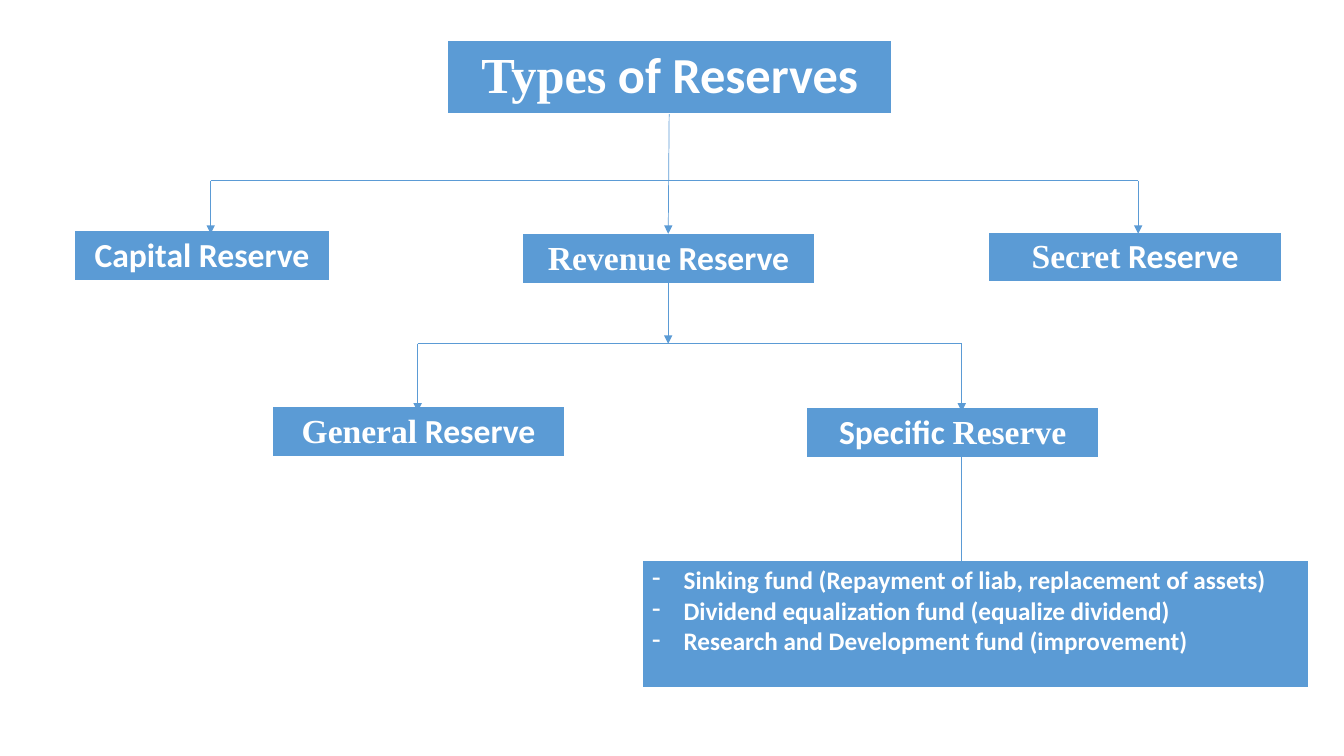
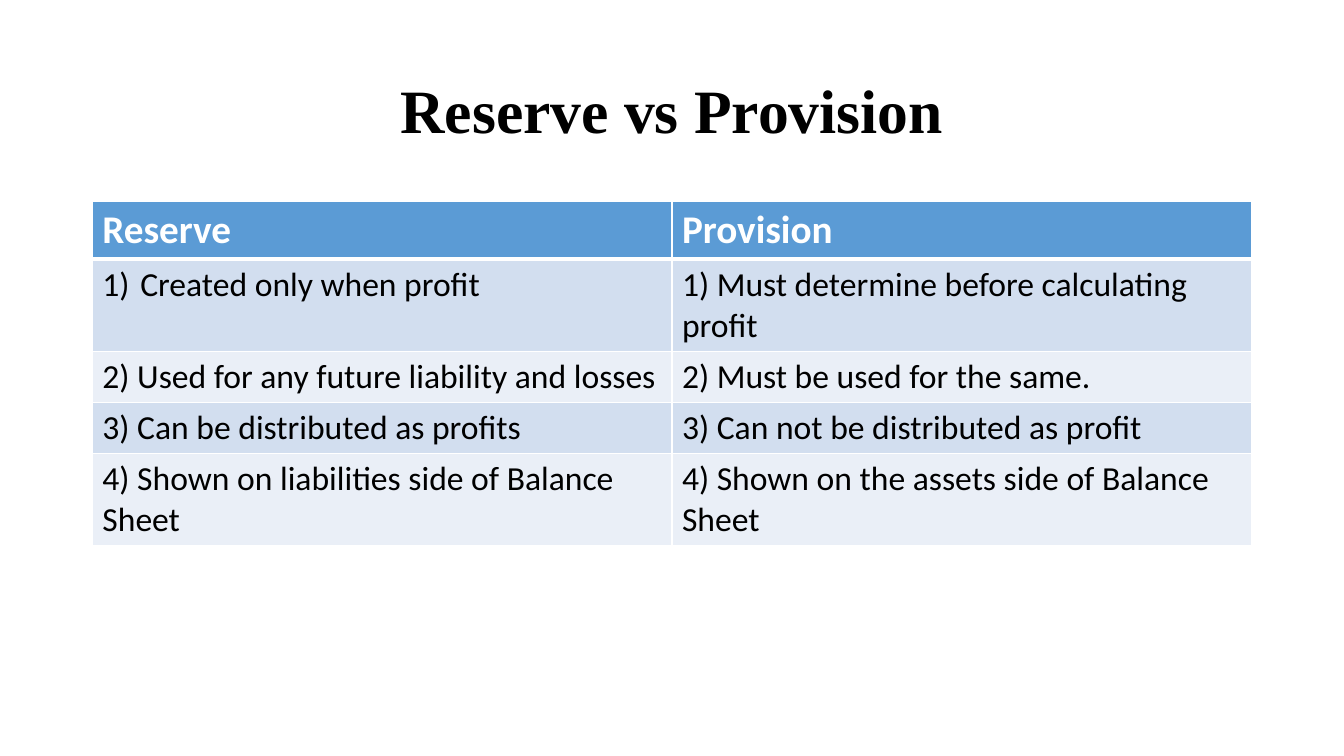
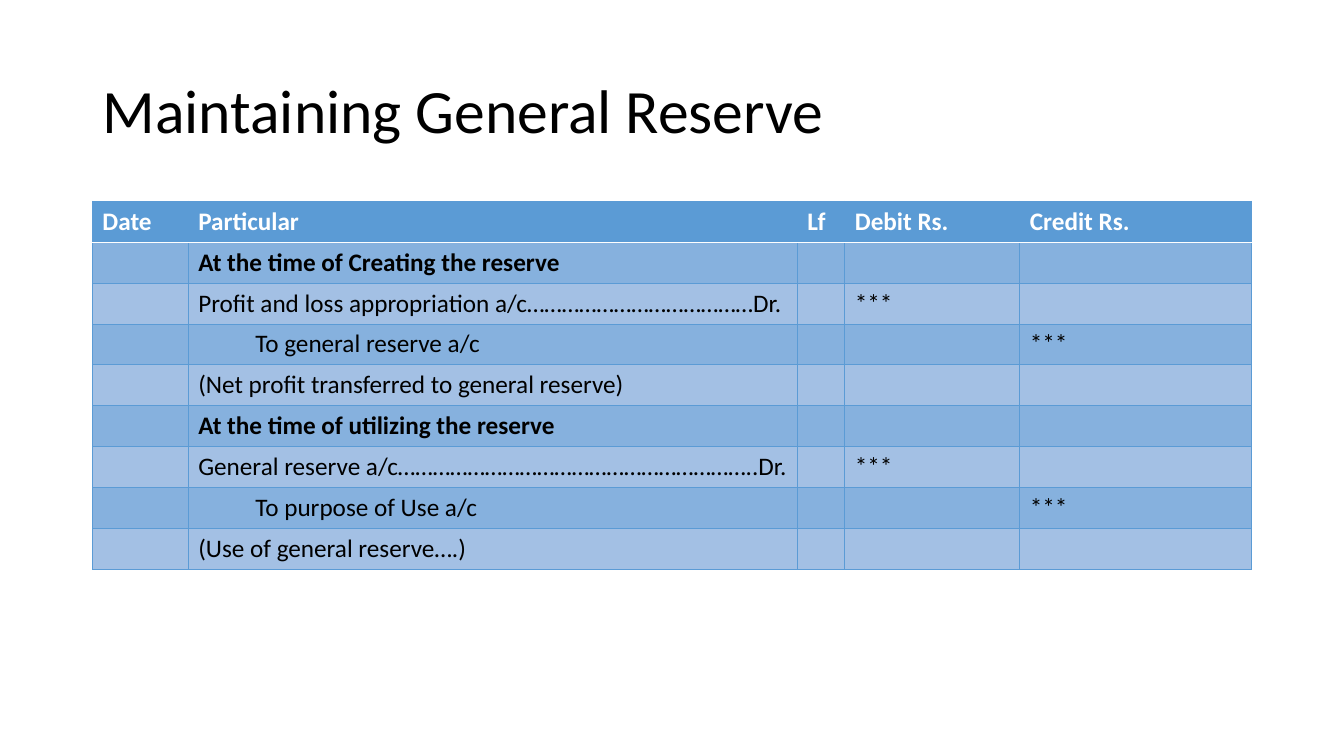
from lxml.etree import SubElement
from pptx import Presentation
from pptx.dml.color import RGBColor
from pptx.enum.shapes import MSO_CONNECTOR
from pptx.enum.text import MSO_ANCHOR, MSO_AUTO_SIZE, PP_ALIGN
from pptx.oxml.ns import qn
from pptx.util import Pt

BLUE = RGBColor(0x5B, 0x9B, 0xD5)
WHITE = RGBColor(0xFF, 0xFF, 0xFF)
BLACK = RGBColor(0x00, 0x00, 0x00)
COMPARISON_BANDS = RGBColor(0xD2, 0xDE, 0xEF), RGBColor(0xEA, 0xEF, 0xF7)
LEDGER_BANDS = RGBColor(0x86, 0xB1, 0xDE), RGBColor(0xA3, 0xC0, 0xE4)
SANS = "Calibri"
SERIF = "Times New Roman"
WHITE_GRID, WHITE_RULE = (WHITE, 1), (WHITE, 3)

TITLE_ONLY, BLANK = 5, 6
TITLE_AREA = (66, 28.75, 828, 104.4)
TABLE_LEFT, TABLE_TOP = 66, 143.75

# Slide 1: the runs (text, font), the size, and left, top, width, height of each box
BOXES = [
    ([("Types", SERIF), (" of Reserves", SANS)], 36, (319.7, 28.8, 317.5, 53.2)),
    ([("Capital Reserve", SANS)], 24, (53.3, 164.9, 182, 36)),
    ([("Revenue", SERIF), (" Reserve", SANS)], 24, (373, 167, 209, 36)),
    ([("Secret", SERIF), (" Reserve", SANS)], 24, (706.3, 165.7, 209, 36)),
    ([("General", SERIF), (" Reserve", SANS)], 24, (194.4, 290.2, 209, 36)),
    ([("Specific ", SANS), ("Reserve", SERIF)], 24, (576, 290.9, 209, 36)),
]
FUNDS = [
    "Sinking fund (Repayment of liab, replacement of assets)",
    "Dividend equalization fund (equalize dividend)",
    "Research and Development fund (improvement)",
]
FUNDS_AREA = (458.6, 400.3, 476, 91.4)

# Slide 2
COMPARISON = [
    ("Reserve", "Provision"),
    ("Created only when profit", "1) Must determine before calculating profit"),
    ("2) Used for any future liability and losses", "2) Must be used for the same."),
    ("3) Can be distributed as profits", "3) Can not be distributed as profit"),
    ("4) Shown on liabilities side of Balance Sheet",
     "4) Shown on the assets side of Balance Sheet"),
]
COMPARISON_COLUMNS = [414, 414]
COMPARISON_ROWS = [40, 65, 36, 36, 65]

# Slide 3
LEDGER = [
    ("Date", "Particular", "Lf", "Debit Rs.", "Credit Rs."),
    ("", "At the time of Creating the reserve", "", "", ""),
    ("", "Profit and loss appropriation a/c…………………………………Dr.", "", "***", ""),
    ("", "To general reserve a/c", "", "", "***"),
    ("", "(Net profit transferred to general reserve)", "", "", ""),
    ("", "At the time of utilizing the reserve", "", "", ""),
    ("", "General reserve a/c……………………………………………………..Dr.", "", "***", ""),
    ("", "To purpose of Use a/c", "", "", "***"),
    ("", "(Use of general reserve….)", "", "", ""),
]
LEDGER_COLUMNS = [68.5, 435, 34, 125, 165.5]
LEDGER_ROWS = [29.2] * len(LEDGER)
LEDGER_HEADINGS = (1, 5)
LEDGER_CREDIT_LINES = (3, 7)


def write(frame, paragraphs, size, color, bold=False, align=PP_ALIGN.LEFT, spacing=None):
    """Fill a text frame; a paragraph is a string or a list of (text, font)."""
    frame.word_wrap = True
    for index, runs in enumerate(paragraphs):
        paragraph = frame.paragraphs[0] if index == 0 else frame.add_paragraph()
        paragraph.alignment = align
        paragraph.line_spacing = spacing
        for text, font in [(runs, SANS)] if isinstance(runs, str) else runs:
            run = paragraph.add_run()
            run.text = text
            run.font.name = font
            run.font.size = Pt(size)
            run.font.bold = bold
            run.font.color.rgb = color


def add_bullet(paragraph, indent, tag, **attributes):
    properties = paragraph._p.get_or_add_pPr()
    properties.set("marL", str(Pt(indent)))
    properties.set("indent", str(-Pt(indent)))
    SubElement(properties, qn(tag), attributes)


def add_titled_slide(presentation, runs, bold=False, align=PP_ALIGN.LEFT):
    slide = presentation.slides.add_slide(presentation.slide_layouts[TITLE_ONLY])
    title = slide.shapes.title
    title.left, title.top, title.width, title.height = map(Pt, TITLE_AREA)
    title.text_frame.auto_size = MSO_AUTO_SIZE.NONE
    title.text_frame.vertical_anchor = MSO_ANCHOR.MIDDLE
    write(title.text_frame, [runs], 44, BLACK, bold, align, spacing=0.9)
    return slide


def add_line(slide, start, end, arrow=True):
    line = slide.shapes.add_connector(MSO_CONNECTOR.STRAIGHT, *map(Pt, (*start, *end)))
    line.line.color.rgb = BLUE
    line.line.width = Pt(0.5)
    if arrow:
        SubElement(line.line._get_or_add_ln(), qn("a:tailEnd"), type="triangle")
    SubElement(line._element.spPr, qn("a:effectLst"))


def add_fork(slide, y, drop_xs, drop_end):
    """Draw a bar at y with an arrow down to drop_end at each x."""
    add_line(slide, (drop_xs[0], y), (drop_xs[-1], y), arrow=False)
    for x in drop_xs:
        add_line(slide, (x, y), (x, drop_end))


def paint_cell(cell, color, grid, top, bottom):
    """Set the fill and the borders, each given as (color, width)."""
    properties = cell._tc.get_or_add_tcPr()
    for side, (line_color, width) in zip("LRTB", (grid, grid, top, bottom)):
        line = SubElement(properties, qn("a:ln" + side), w=str(Pt(width)))
        SubElement(SubElement(line, qn("a:solidFill")), qn("a:srgbClr"),
                   val=str(line_color))
    cell.fill.solid()
    cell.fill.fore_color.rgb = color


def add_box(slide, area, paragraphs, size, align):
    """Add a table of one blue cell and return the cell."""
    cell = slide.shapes.add_table(1, 1, *map(Pt, area)).table.cell(0, 0)
    paint_cell(cell, BLUE, WHITE_GRID, WHITE_GRID, WHITE_RULE)
    write(cell.text_frame, paragraphs, size, WHITE, bold=True, align=align)
    return cell


def add_grid(slide, rows, column_widths, row_heights, bands, sizes, grid, header_rule,
             bold_rows=()):
    """Add a banded table; sizes are (header, body), borders are (color, width)."""
    table = slide.shapes.add_table(
        len(rows), len(column_widths), Pt(TABLE_LEFT), Pt(TABLE_TOP),
        Pt(sum(column_widths)), Pt(sum(row_heights))).table
    for column, width in zip(table.columns, column_widths):
        column.width = Pt(width)
    for index, (row, height, texts) in enumerate(zip(table.rows, row_heights, rows)):
        header = index == 0
        row.height = Pt(height)
        for cell, text in zip(row.cells, texts):
            paint_cell(cell, BLUE if header else bands[(index - 1) % 2], grid,
                       top=header_rule if index == 1 else grid,
                       bottom=header_rule if header else grid)
            if text:
                write(cell.text_frame, [text], sizes[0 if header else 1],
                      WHITE if header else BLACK, bold=header or index in bold_rows)
    return table


def build_types(presentation):
    slide = presentation.slides.add_slide(presentation.slide_layouts[BLANK])
    for runs, size, area in BOXES:
        add_box(slide, area, [runs], size, PP_ALIGN.CENTER)
    funds = add_box(slide, FUNDS_AREA, FUNDS, 18, PP_ALIGN.LEFT)
    for paragraph in funds.text_frame.paragraphs:
        add_bullet(paragraph, 22.5, "a:buChar", char="-")

    add_line(slide, (478, 81.5), (477.3, 167))
    add_fork(slide, 129, (150.5, 813), 167)
    add_line(slide, (477.3, 201.6), (477.3, 245.5))
    add_fork(slide, 245.5, (298.3, 687), 294)
    add_line(slide, (687, 326), (687, 408))


def build_comparison(presentation):
    slide = add_titled_slide(presentation, [("Reserve vs Provision", SERIF)],
                             bold=True, align=PP_ALIGN.CENTER)
    table = add_grid(slide, COMPARISON, COMPARISON_COLUMNS, COMPARISON_ROWS,
                     COMPARISON_BANDS, sizes=(28, 24), grid=WHITE_GRID,
                     header_rule=WHITE_RULE)
    add_bullet(table.cell(1, 0).text_frame.paragraphs[0], 27, "a:buAutoNum",
               type="arabicParenR")


def build_ledger(presentation):
    slide = add_titled_slide(presentation, "Maintaining General Reserve")
    table = add_grid(slide, LEDGER, LEDGER_COLUMNS, LEDGER_ROWS, LEDGER_BANDS,
                     sizes=(18, 18), grid=(BLUE, 0.5), header_rule=WHITE_GRID,
                     bold_rows=LEDGER_HEADINGS)
    for row in LEDGER_CREDIT_LINES:
        paragraph = table.cell(row, 1).text_frame.paragraphs[0]
        paragraph._p.get_or_add_pPr().set("marL", str(Pt(40.7)))


def main():
    presentation = Presentation()
    presentation.slide_width, presentation.slide_height = Pt(960), Pt(540)
    build_types(presentation)
    build_comparison(presentation)
    build_ledger(presentation)
    presentation.save("out.pptx")


if __name__ == "__main__":
    main()
